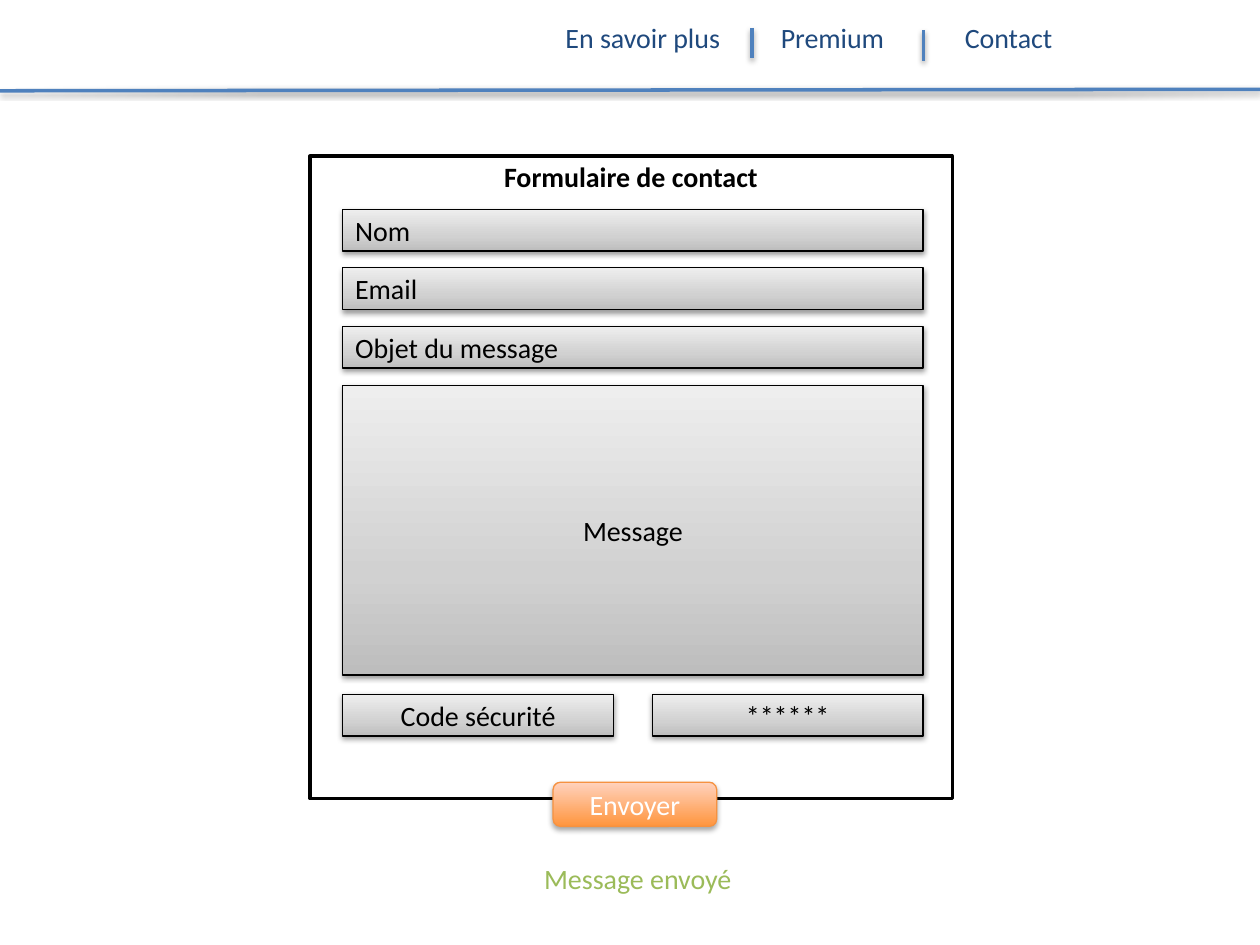
from dataclasses import dataclass

from lxml.etree import SubElement
from pptx import Presentation
from pptx.dml.color import RGBColor
from pptx.enum.shapes import MSO_CONNECTOR as Connector, MSO_SHAPE as Shape
from pptx.enum.text import MSO_ANCHOR as Anchor, MSO_AUTO_SIZE as AutoSize, PP_ALIGN as Align
from pptx.oxml.ns import qn
from pptx.util import Cm, Pt


@dataclass(frozen=True)
class Theme:
    font: str = "Calibri"
    text_size: int = 16
    thick: float = 2
    thin: float = 0.75
    black: str = "000000"
    white: str = "FFFFFF"
    rule: str = "4F81BD"
    menu: str = "1F497D"
    success: str = "9BBB59"
    button_line: str = "F69240"
    # Gradient stops run from the bottom edge to the top edge
    field_fill: tuple = ((0, "BDBDBD"), (35, "D1D1D1"), (100, "EEEEEE"))
    button_fill: tuple = ((0, "FF953E"), (100, "FFD2BD"))


class FormSlide:
    def __init__(self, slide, theme):
        self.slide = slide
        self.theme = theme

    def add_text(self, shape, text, color, align=Align.LEFT, **font_values):
        paragraph = shape.text_frame.paragraphs[0]
        paragraph.alignment = align
        run = paragraph.add_run()
        run.text = text
        run.font.color.rgb = RGBColor.from_string(color)
        values = {"name": self.theme.font, "size": Pt(self.theme.text_size), **font_values}
        for name, value in values.items():
            setattr(run.font, name, value)

    def outline(self, shape, color, width):
        shape.line.color.rgb = RGBColor.from_string(color)
        shape.line.width = Pt(width)

    def add_shadow(self, shape, opacity=38, distance=1.57):
        properties = shape.element.spPr
        effects = properties.find(qn("a:effectLst"))
        if effects is None:
            effects = SubElement(properties, qn("a:effectLst"))
        shadow = SubElement(effects, qn("a:outerShdw"), blurRad=str(Pt(3.15)),
                            dist=str(Pt(distance)), dir="5400000", rotWithShape="0")
        color = SubElement(shadow, qn("a:srgbClr"), val=self.theme.black)
        SubElement(color, qn("a:alpha"), val=str(opacity * 1000))

    def fill_gradient(self, shape, stops):
        shape.fill.gradient()
        shape.fill.gradient_angle = 90
        stop_list = shape.element.spPr.find(qn("a:gradFill")).find(qn("a:gsLst"))
        for old_stop in list(stop_list):
            stop_list.remove(old_stop)
        for position, color in stops:
            stop = SubElement(stop_list, qn("a:gs"), pos=str(position * 1000))
            SubElement(stop, qn("a:srgbClr"), val=color)

    def line(self, *ends):
        connector = self.slide.shapes.add_connector(Connector.STRAIGHT, *map(Cm, ends))
        self.outline(connector, self.theme.rule, self.theme.thick)
        self.add_shadow(connector)

    def label(self, text, left, top, width, color, align=Align.LEFT, **font_values):
        box = self.slide.shapes.add_textbox(*map(Cm, (left, top, width, 0.94)))
        box.text_frame.word_wrap = True
        box.text_frame.auto_size = AutoSize.SHAPE_TO_FIT_TEXT
        self.add_text(box, text, color, align, **font_values)

    def box(self, kind, bounds, line_color, line_width):
        shape = self.slide.shapes.add_shape(kind, *map(Cm, bounds))
        shape.shadow.inherit = False
        shape.text_frame.vertical_anchor = Anchor.MIDDLE
        self.outline(shape, line_color, line_width)
        return shape

    def frame(self, *bounds):
        shape = self.box(Shape.RECTANGLE, bounds, self.theme.black, self.theme.thick)
        shape.fill.solid()
        shape.fill.fore_color.rgb = RGBColor.from_string(self.theme.white)

    def field(self, text, *bounds, align=Align.CENTER):
        shape = self.box(Shape.RECTANGLE, bounds, self.theme.black, self.theme.thin)
        self.fill_gradient(shape, self.theme.field_fill)
        self.add_shadow(shape)
        self.add_text(shape, text, self.theme.black, align)

    def button(self, text, *bounds):
        shape = self.box(Shape.ROUNDED_RECTANGLE, bounds, self.theme.button_line, self.theme.thin)
        self.fill_gradient(shape, self.theme.button_fill)
        self.add_shadow(shape, opacity=35, distance=1.81)
        self.add_text(shape, text, self.theme.white, Align.CENTER)


presentation = Presentation()
presentation.slide_width, presentation.slide_height = Cm(25.4), Cm(19.05)
theme = Theme()
form = FormSlide(presentation.slides.add_slide(presentation.slide_layouts[6]), theme)

# Header menu
form.line(0, 1.83, 25.4, 1.8)
for text, left, width in (("En savoir plus", 11.15, 4.37), ("Premium", 15.49, 3.45),
                          ("Contact", 19.2, 2.92)):
    form.label(text, left, 0.28, width, theme.menu)
for x, top in ((15.16, 0.56), (18.62, 0.61)):
    form.line(x, top, x, top + 0.61)

# Form frame and fields
form.frame(6.25, 3.15, 12.95, 12.95)
field_left, field_width, field_height = 6.91, 11.7, 0.84
for row, text in enumerate(("Nom", "Email", "Objet du message")):
    form.field(text, field_left, 4.22 + row * 1.18, field_width, field_height, align=Align.LEFT)
form.field("Message", field_left, 7.77, field_width, 5.84)
form.label("Formulaire de contact", 9.82, 3.1, 5.8, theme.black, Align.CENTER, bold=True)

# Send button and security code
form.button("Envoyer", 11.15, 15.77, 3.3, 0.89)
code_width = 5.46
for text, left in (("Code sécurité", field_left),
                   ("******", field_left + field_width - code_width)):
    form.field(text, left, 14, code_width, field_height)

# Confirmation
form.label("Message envoyé", 10.72, 17.25, 4.47, theme.success)

presentation.save("out.pptx")
